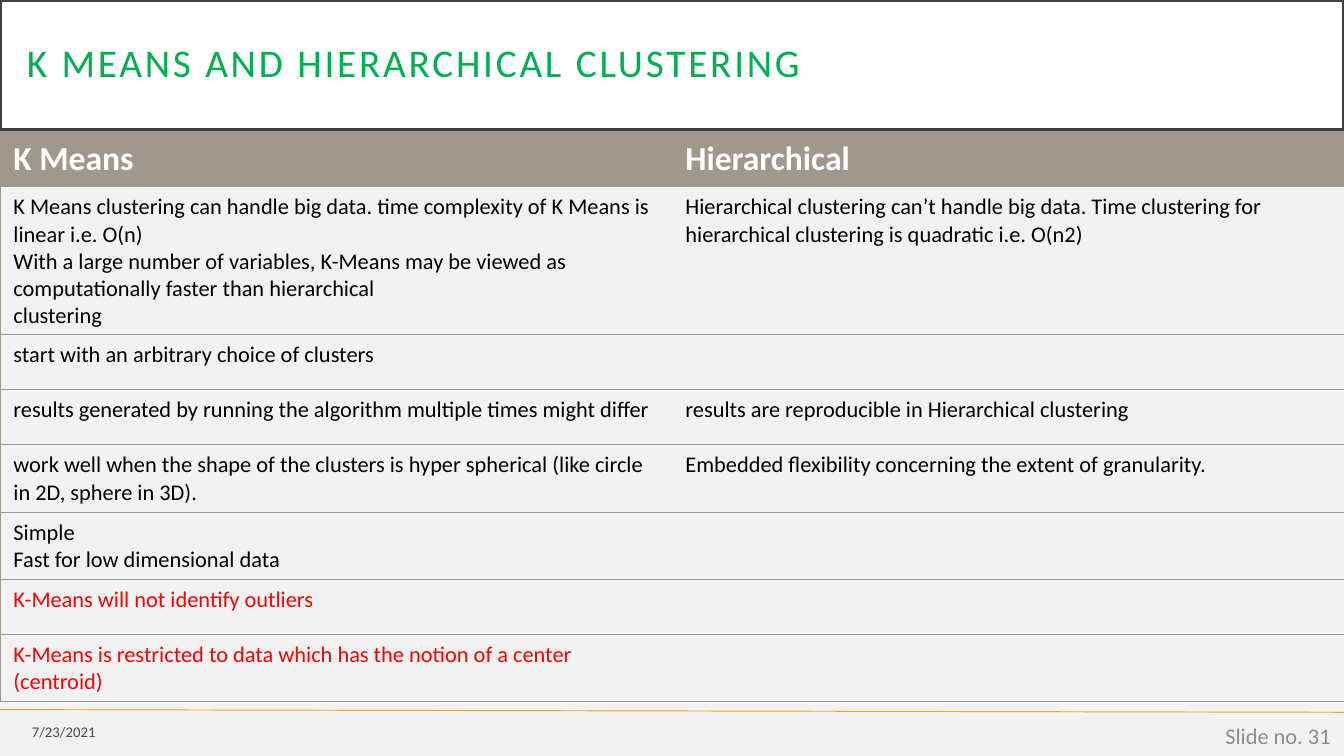
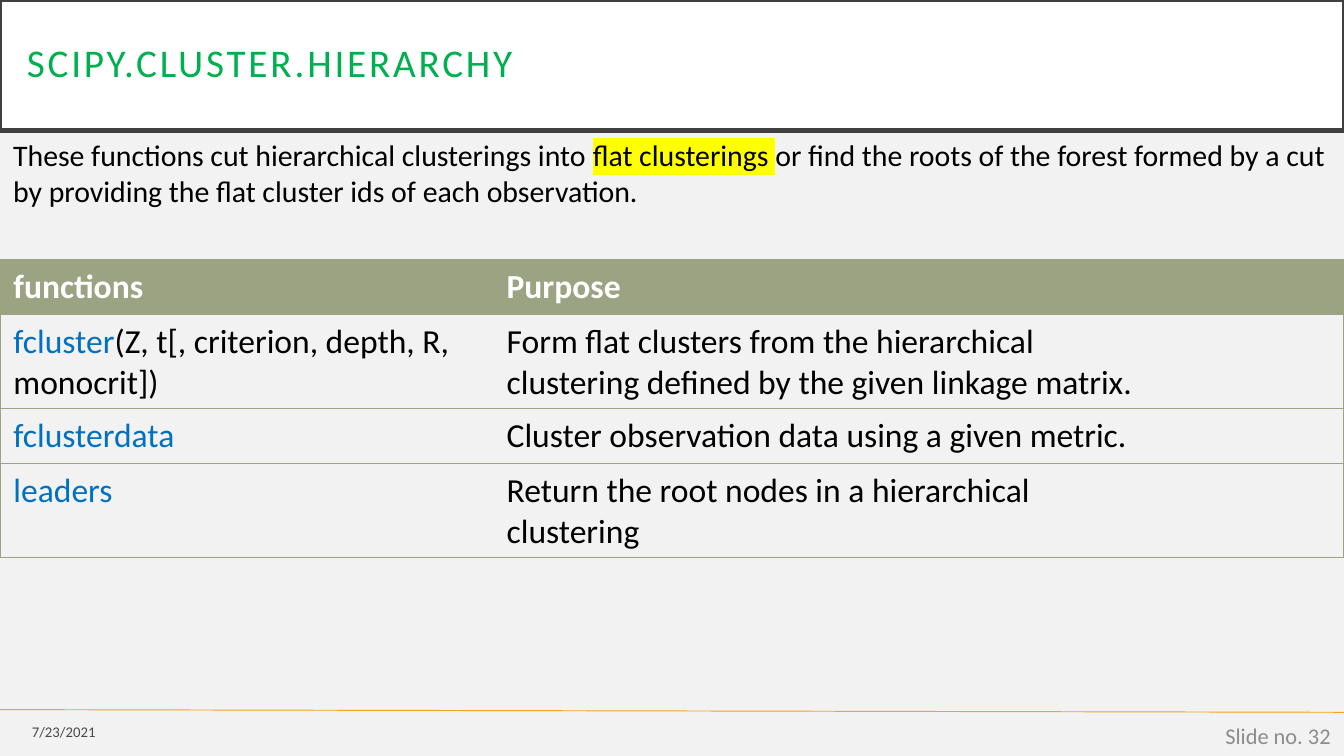
from lxml import etree
from pptx import Presentation
from pptx.dml.color import RGBColor
from pptx.enum import shapes, text
from pptx.oxml.ns import qn
from pptx.util import Inches, Pt

HUES = {"page": "F2F2F2", "white": "FFFFFF", "frame": "404040", "title": "00B050",
        "rule": "F6A21D", "black": "000000", "red": "FF0000", "blue": "0070C0",
        "grey": "8C8C8C", "mark": "FFFF00", "taupe": "A0988C", "sage": "9CA383"}
WIDE = 10
HIGH = WIDE * 9 / 16
HEAD = (0, 0, WIDE, 0.97)
DATE = (0, 5.31, 0.81, 0.27)
PAGE = (7.75, 5.32, 2.25, 0.3)

KMEANS = [
    ["K Means clustering can handle big data. time complexity of K Means is linear i.e. O(n)",
     "With a large number of variables, K-Means may be viewed as computationally faster "
     "than hierarchical",
     "clustering"],
    ["start with an arbitrary choice of clusters"],
    ["results generated by running the algorithm multiple times might differ"],
    ["work well when the shape of the clusters is hyper spherical (like circle in 2D, "
     "sphere in 3D)."],
    ["Simple", "Fast for low dimensional data"],
]
LIMITS = [
    ["K-Means will not identify outliers"],
    ["K-Means is restricted to data which has the notion of a center (centroid)"],
]
TREE = [
    ["Hierarchical clustering can’t handle big data. Time clustering for hierarchical "
     "clustering is quadratic i.e. O(n2)"],
    [],
    ["results are reproducible in Hierarchical clustering"],
    ["Embedded flexibility concerning the extent of granularity."],
    [], [], [],
]
CALLS = [
    ("fcluster", "(Z, t[, criterion, depth, R, monocrit])",
     "Form flat clusters from the hierarchical clustering defined by the given linkage matrix."),
    ("fclusterdata", "", "Cluster observation data using a given metric."),
    ("leaders", "", "Return the root nodes in a hierarchical clustering"),
]


def rgb(hue):
    return RGBColor.from_string(HUES[hue])


def add_run(para, words, size, hue, bold=False):
    run = para.add_run()
    run.text = words
    font = run.font
    font.size, font.name, font.bold = Pt(size), "Calibri", bold
    font.color.rgb = rgb(hue)
    return run


def fill_text(frame, paras, size, bold=False):
    """Write paragraphs, each a list of (words, hue) runs."""
    for i, runs in enumerate(paras):
        para = frame.add_paragraph() if i else frame.paragraphs[0]
        for words, hue in runs:
            add_run(para, words, size, hue, bold)


def add_box(slide, box):
    frame = slide.shapes.add_textbox(*map(Inches, box)).text_frame
    frame.word_wrap = True
    return frame


def add_title(slide, box, words):
    title = slide.shapes.title
    title.left, title.top, title.width, title.height = map(Inches, box)
    title.fill.solid()
    title.fill.fore_color.rgb = rgb("white")
    title.line.color.rgb = rgb("frame")
    title.line.width = Pt(2.5)
    frame = title.text_frame
    frame.auto_size = text.MSO_AUTO_SIZE.NONE
    frame.vertical_anchor = text.MSO_ANCHOR.MIDDLE
    frame.margin_left = frame.margin_right = Inches(0.2)
    frame.margin_top = frame.margin_bottom = Inches(0.2)
    para = frame.paragraphs[0]
    para.alignment = text.PP_ALIGN.LEFT
    para.line_spacing = 0.9
    run = add_run(para, words, 21, "title")
    run.font._element.set("spc", "150")


def add_note(slide, box, words, size, hue):
    frame = add_box(slide, box)
    frame.vertical_anchor = text.MSO_ANCHOR.MIDDLE
    para = frame.paragraphs[0]
    para.alignment = text.PP_ALIGN.RIGHT
    return add_run(para, words, size, hue)


def add_foot(slide, num):
    ends = map(Inches, (0, 5.28, WIDE, 5.3))
    rule = slide.shapes.add_connector(shapes.MSO_CONNECTOR.STRAIGHT, *ends)
    rule.line.color.rgb = rgb("rule")
    rule.line.width = Pt(0.5)
    etree.SubElement(rule._element.spPr, qn("a:effectLst"))
    date = add_note(slide, DATE, "7/23/2021", 7.9, "black")
    tint = date.font._element.find(".//" + qn("a:srgbClr"))
    etree.SubElement(tint, qn("a:alpha")).set("val", "70000")
    add_note(slide, PAGE, f"Slide no. {num}", 12, "grey")


def add_edge(cell, side, hue):
    """Draw one cell border, or clear it when hue is None."""
    edge = etree.SubElement(cell._tc.get_or_add_tcPr(), qn("a:ln" + side))
    edge.set("w", str(Pt(0.5)))
    if hue:
        fill = etree.SubElement(edge, qn("a:solidFill"))
        etree.SubElement(fill, qn("a:srgbClr")).set("val", HUES[hue])
    else:
        etree.SubElement(edge, qn("a:noFill"))


def add_grid(slide, box, cols, rows, heads, body, size, hue):
    """Place a table; rows are its heights, body its rows of paragraph lists."""
    grid = slide.shapes.add_table(len(rows), len(cols), *map(Inches, box)).table
    grid.horz_banding = False
    for col, wide in zip(grid.columns, cols):
        col.width = Inches(wide)
    for row, high in zip(grid.rows, rows):
        row.height = Inches(high)
    tops = [[[(head, "white")]] if head else [] for head in heads]
    for i, line in enumerate([tops] + body):
        for j, paras in enumerate(line):
            cell = grid.cell(i, j)
            add_edge(cell, "L", None if j else hue)
            add_edge(cell, "R", hue if j == len(cols) - 1 else None)
            add_edge(cell, "T", hue)
            add_edge(cell, "B", hue)
            if i:
                cell.fill.background()
            else:
                cell.fill.solid()
                cell.fill.fore_color.rgb = rgb(hue)
            fill_text(cell.text_frame, paras, size if i else 18, bold=not i)


def add_intro(slide, box):
    frame = add_box(slide, box)
    fill_text(frame, [[
        ("These functions cut hierarchical clusterings into ", "black"),
        ("flat clusterings ", "black"),
        ("or find the roots of the forest formed by a cut by providing the flat "
         "cluster ids of each observation.", "black")]], 16)
    mark = etree.Element(qn("a:highlight"))
    etree.SubElement(mark, qn("a:srgbClr")).set("val", HUES["mark"])
    flat = frame.paragraphs[0].runs[1].font._element
    flat.find(qn("a:solidFill")).addnext(mark)


def new_slide(deck, words, num):
    slide = deck.slides.add_slide(deck.slide_layouts[5])
    add_title(slide, HEAD, words)
    add_foot(slide, num)
    return slide


def compare(deck):
    slide = new_slide(deck, "K MEANS AND HIERARCHICAL CLUSTERING", 31)
    left = [[[(words, "black")] for words in item] for item in KMEANS]
    left += [[[(words, "red")] for words in item] for item in LIMITS]
    right = [[[(words, "black")] for words in item] for item in TREE]
    rows = [0.41] * 8
    add_grid(slide, (0, 0.98, WIDE, sum(rows)), (5, 5), rows,
             ("K Means", "Hierarchical"), list(zip(left, right)), 12, "taupe")


def calls(deck):
    slide = new_slide(deck, "SCIPY.CLUSTER.HIERARCHY", 32)
    body = []
    for name, args, use in CALLS:
        call = [(name, "blue")] + ([(args, "black")] if args else [])
        body.append([[call], [[(use, "black")]], []])
    rows = [0.41] * 4
    add_grid(slide, (0, 1.93, WIDE, sum(rows)), (3.67, 5.04, 1.29), rows,
             ("functions", "Purpose", ""), body, 18, "sage")
    add_intro(slide, (0, 0.97, WIDE, 0.64))


def main():
    deck = Presentation()
    deck.slide_width, deck.slide_height = Inches(WIDE), Inches(HIGH)
    back = deck.slide_master.background.fill
    back.solid()
    back.fore_color.rgb = rgb("page")
    compare(deck)
    calls(deck)
    deck.save("out.pptx")


if __name__ == "__main__":
    main()
